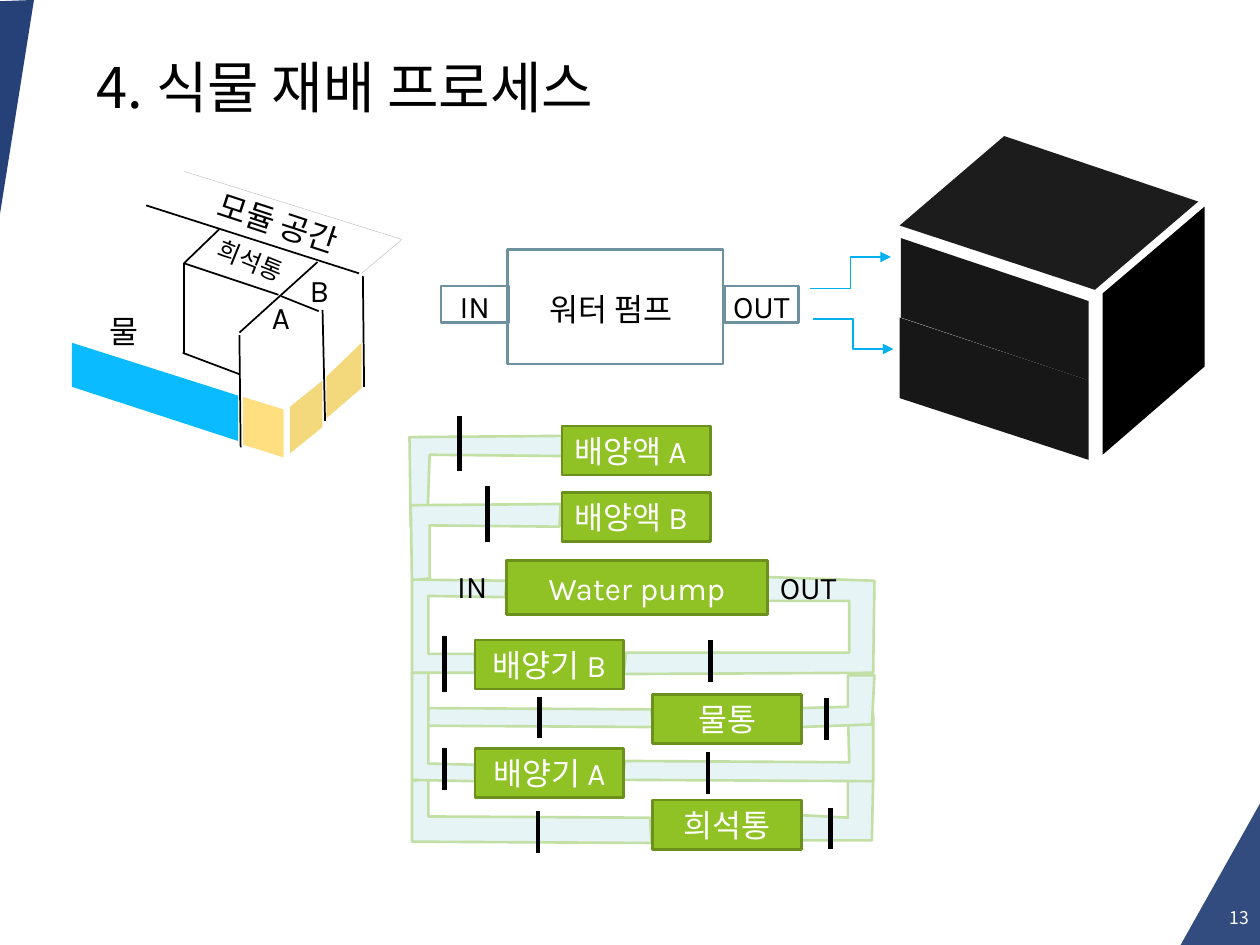
"""Build the plant growing process slide with its water pump and pipe diagrams."""
import dataclasses

import pptx
import pptx.dml.color
import pptx.enum.shapes
import pptx.enum.text
import pptx.oxml.xmlchemy
import pptx.util

Inches = pptx.util.Inches
Pt = pptx.util.Pt
Align = pptx.enum.text.PP_ALIGN
Anchor = pptx.enum.text.MSO_ANCHOR
Connector = pptx.enum.shapes.MSO_CONNECTOR


@dataclasses.dataclass(frozen=True)
class Theme:
    black: str = "000000"
    white: str = "FFFFFF"
    navy: str = "002060"
    cube_top: str = "1C1C1C"
    cube_front: str = "171717"
    pump_line: str = "6E91A0"
    arrow: str = "00B0F0"
    water: str = "0ABCFF"
    soil_front: str = "FFDF80"
    soil_side: str = "F3D97B"
    edge: str = "BFBFBF"
    pipe: str = "E7F4F6"
    pipe_line: str = "C2DFA5"
    tank: str = "90C226"
    tank_line: str = "6B901C"
    title_font: str = "Noto Sans CJK KR"
    body_font: str = "Karla"
    title_size: int = 32
    body_size: int = 18
    small_size: int = 14
    number_size: int = 10


theme = Theme()
rgb = pptx.dml.color.RGBColor.from_string

presentation = pptx.Presentation()
presentation.slide_width = Inches(10)
presentation.slide_height = Inches(7.5)
slide = presentation.slides.add_slide(presentation.slide_layouts[6])
shapes = slide.shapes


def add_polygon(points, fill, line=None):
    corners = [(Inches(x), Inches(y)) for x, y in points]
    builder = shapes.build_freeform(*corners[0], scale=1.0)
    builder.add_line_segments(corners[1:], close=True)
    shape = builder.convert_to_shape()
    shape.shadow.inherit = False
    shape.fill.solid()
    shape.fill.fore_color.rgb = rgb(fill)
    if line:
        shape.line.color.rgb = rgb(line)
        shape.line.width = Pt(1.5)
    else:
        shape.line.fill.background()
    return shape


def write_text(shape, text, size, color, font, align=Align.LEFT, anchor=Anchor.TOP):
    frame = shape.text_frame
    frame.word_wrap = True
    frame.vertical_anchor = anchor
    paragraph = frame.paragraphs[0]
    paragraph.alignment = align
    run = paragraph.add_run()
    run.text = text
    run.font.size = Pt(size)
    run.font.name = font
    run.font.color.rgb = rgb(color)


corner_wedges = [
    ([(0, 0.01), (0.27, 0), (0, 1.7)], 85),
    ([(9.37, 7.5), (10.01, 6.36), (10.01, 7.5)], 80),
]
for points, opacity in corner_wedges:
    wedge = add_polygon(points, theme.navy)
    color_element = wedge.fill._xPr.find(".//" + pptx.oxml.ns.qn("a:srgbClr"))
    alpha = color_element.makeelement(pptx.oxml.ns.qn("a:alpha"), {"val": str(opacity * 1000)})
    color_element.append(alpha)

title = shapes.add_textbox(Inches(0.67), Inches(0.37), Inches(9.19), Inches(0.73))
write_text(title, "4. 식물 재배 프로세스", theme.title_size, theme.black, theme.title_font)
number = shapes.add_textbox(Inches(9.45), Inches(7.08), Inches(0.56), Inches(0.4))
write_text(number, "13", theme.number_size, theme.white, theme.title_font, Align.RIGHT, Anchor.MIDDLE)

faces = [
    ([(7.14, 1.79), (7.97, 1.08), (9.51, 1.6), (8.69, 2.3)], theme.cube_top),
    ([(7.15, 1.89), (8.64, 2.39), (8.64, 3.02), (7.15, 2.52)], theme.cube_front),
    ([(7.14, 2.52), (8.64, 3.02), (8.64, 3.65), (7.14, 3.16)], theme.cube_front),
    ([(8.75, 2.33), (9.56, 1.64), (9.56, 2.91), (8.75, 3.61)], theme.black),
    ([(0.57, 2.72), (1.89, 3.14), (1.89, 3.5), (0.57, 3.07)], theme.water),
    ([(1.93, 3.15), (2.25, 3.25), (2.25, 3.63), (1.93, 3.53)], theme.soil_front),
    ([(2.3, 3.23), (2.56, 3.02), (2.56, 3.39), (2.3, 3.6)], theme.soil_side),
    ([(2.59, 2.99), (2.87, 2.72), (2.87, 3.08), (2.59, 3.32)], theme.soil_side),
]
for points, fill in faces:
    add_polygon(points, fill)

pipes = [
    [(4.46, 3.46), (3.25, 3.47), (3.26, 4.18), (3.39, 4.19), (3.41, 3.61), (4.46, 3.62)],
    [(4.45, 4), (3.26, 4.01), (3.27, 4.61), (3.41, 4.59), (3.41, 4.17), (4.44, 4.18)],
    [(6.36, 6.47), (6.73, 6.49), (6.73, 6.17), (6.93, 6.2), (6.92, 6.67), (6.33, 6.67)],
    [(4.96, 6.04), (6.74, 6.05), (6.73, 5.67), (6.93, 5.67), (6.93, 6.2), (4.94, 6.19)],
    [(6.36, 5.62), (6.73, 5.61), (6.73, 5.36), (6.94, 5.36), (6.92, 5.75), (6.36, 5.77)],
    [(4.97, 5.18), (6.74, 5.18), (6.74, 4.77), (6.09, 4.77), (6.09, 4.58), (6.94, 4.61),
     (6.93, 5.34), (4.95, 5.35)],
    [(5.16, 6.49), (3.4, 6.48), (3.4, 6.17), (3.27, 6.2), (3.27, 6.68), (5.17, 6.69)],
    [(3.4, 5.62), (5.17, 5.63), (5.18, 5.77), (3.39, 5.76)],
    [(3.27, 5.34), (3.27, 6.19), (3.77, 6.2), (3.77, 6.07), (3.4, 6.06), (3.4, 5.32)],
    [(3.77, 5.19), (3.4, 5.19), (3.4, 4.73), (4.01, 4.74), (4.02, 4.61), (3.27, 4.6),
     (3.27, 5.34), (3.77, 5.34)],
]
for points in pipes:
    add_polygon(points, theme.pipe, theme.pipe_line)

boxes = [
    (4.03, 1.98, 1.71, 0.91, None, None),
    (3.5, 2.27, 0.54, 0.29, None, None),
    (5.75, 2.27, 0.59, 0.29, None, None),
    (4.46, 3.38, 1.18, 0.39, "배양액 A", Align.LEFT),
    (4.46, 3.91, 1.18, 0.39, "배양액 B", Align.LEFT),
    (5.18, 5.51, 1.18, 0.39, "물통", Align.CENTER),
    (4.02, 4.45, 2.07, 0.43, "Water pump", Align.CENTER),
    (5.18, 6.35, 1.18, 0.39, "희석통", Align.CENTER),
    (3.77, 5.94, 1.18, 0.39, "배양기 A", Align.CENTER),
    (3.77, 5.08, 1.18, 0.39, "배양기 B", Align.CENTER),
]
for left, top, width, height, text, align in boxes:
    box = shapes.add_shape(pptx.enum.shapes.MSO_SHAPE.RECTANGLE,
                           Inches(left), Inches(top), Inches(width), Inches(height))
    box.shadow.inherit = False
    box.line.width = Pt(1.5)
    box.line.color.rgb = rgb(theme.tank_line if text else theme.pump_line)
    if text:
        box.fill.solid()
        box.fill.fore_color.rgb = rgb(theme.tank)
        write_text(box, text, theme.body_size, theme.white, theme.body_font, align, Anchor.MIDDLE)
    else:
        box.fill.background()

labels = [
    (3.55, 2.23, 0.54, "IN", theme.body_size, 0),
    (5.72, 2.23, 0.8, "OUT", theme.body_size, 0),
    (4.26, 2.25, 1.39, "워터 펌프", theme.body_size, 0),
    (2.06, 2.32, 0.31, "A", theme.body_size, 0),
    (2.36, 2.1, 0.31, "B", theme.body_size, 0),
    (0.77, 2.43, 0.87, "물", theme.body_size, 0),
    (1.6, 2, 1.26, "희석통", theme.small_size, 22.1),
    (1.61, 1.64, 1.64, "모듈 공간", theme.body_size, 18.3),
    (3.53, 4.45, 0.49, "IN", theme.body_size, 0),
    (6.09, 4.46, 0.71, "OUT", theme.body_size, 0),
]
for left, top, width, text, size, rotation in labels:
    height = 0.4 if size == theme.body_size else 0.34
    label = shapes.add_textbox(Inches(left), Inches(top), Inches(width), Inches(height))
    label.rotation = rotation
    write_text(label, text, size, theme.black, theme.body_font)

module_edges = [
    (2.88, 2.19, 2.89, 3.07), (2.56, 2.46, 2.58, 3.34), (1.9, 2.66, 1.91, 3.55),
    (2.85, 2.17, 1.16, 1.63), (1.9, 2.64, 2.52, 2.08), (2.53, 2.47, 2.23, 2.35),
    (2.21, 2.34, 1.46, 2.09), (1.46, 2.09, 1.74, 1.82), (1.46, 2.09, 1.46, 2.8),
    (1.45, 2.8, 1.9, 2.97),
]
outline_edges = [(1.46, 1.36, 3.19, 1.9), (3.19, 1.9, 2.87, 2.17)]
valves = [
    (3.65, 3.3, 0.44), (3.87, 3.86, 0.44), (3.53, 5.05, 0.44), (4.28, 5.53, 0.33),
    (3.53, 5.94, 0.33), (4.27, 6.44, 0.33), (6.59, 6.41, 0.33), (5.62, 5.97, 0.33),
    (6.56, 5.54, 0.33), (5.64, 5.08, 0.33),
]
valve_lines = [(x, top, x, top + length) for x, top, length in valves]
arrows = [(6.43, 2.29, 7.07, 2.04), (6.45, 2.53, 7.09, 2.77)]
line_groups = [
    (outline_edges, theme.edge, 0.25, Connector.STRAIGHT),
    (module_edges, theme.black, 1, Connector.STRAIGHT),
    (valve_lines, theme.black, 2.75, Connector.STRAIGHT),
    (arrows, theme.arrow, 1, Connector.ELBOW),
]
for lines, color, width, kind in line_groups:
    for ends in lines:
        connector = shapes.add_connector(kind, *[Inches(value) for value in ends])
        connector.line.color.rgb = rgb(color)
        connector.line.width = Pt(width)
        properties = connector._element.spPr
        if kind == Connector.ELBOW:
            line = connector.line._get_or_add_ln()
            line.append(line.makeelement(pptx.oxml.ns.qn("a:tailEnd"), {"type": "triangle"}))
        properties.append(properties.makeelement(pptx.oxml.ns.qn("a:effectLst"), {}))

presentation.save("out.pptx")
